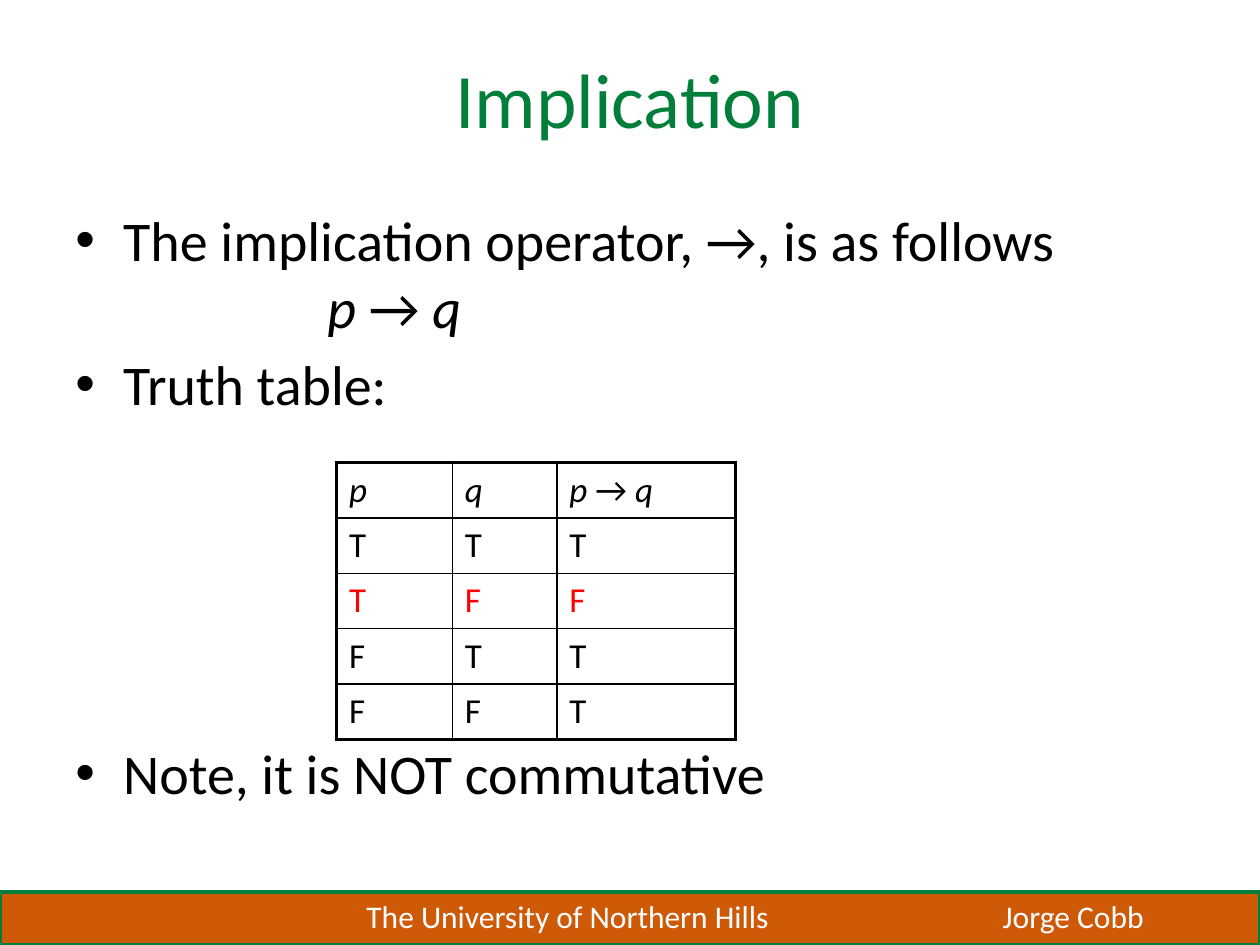
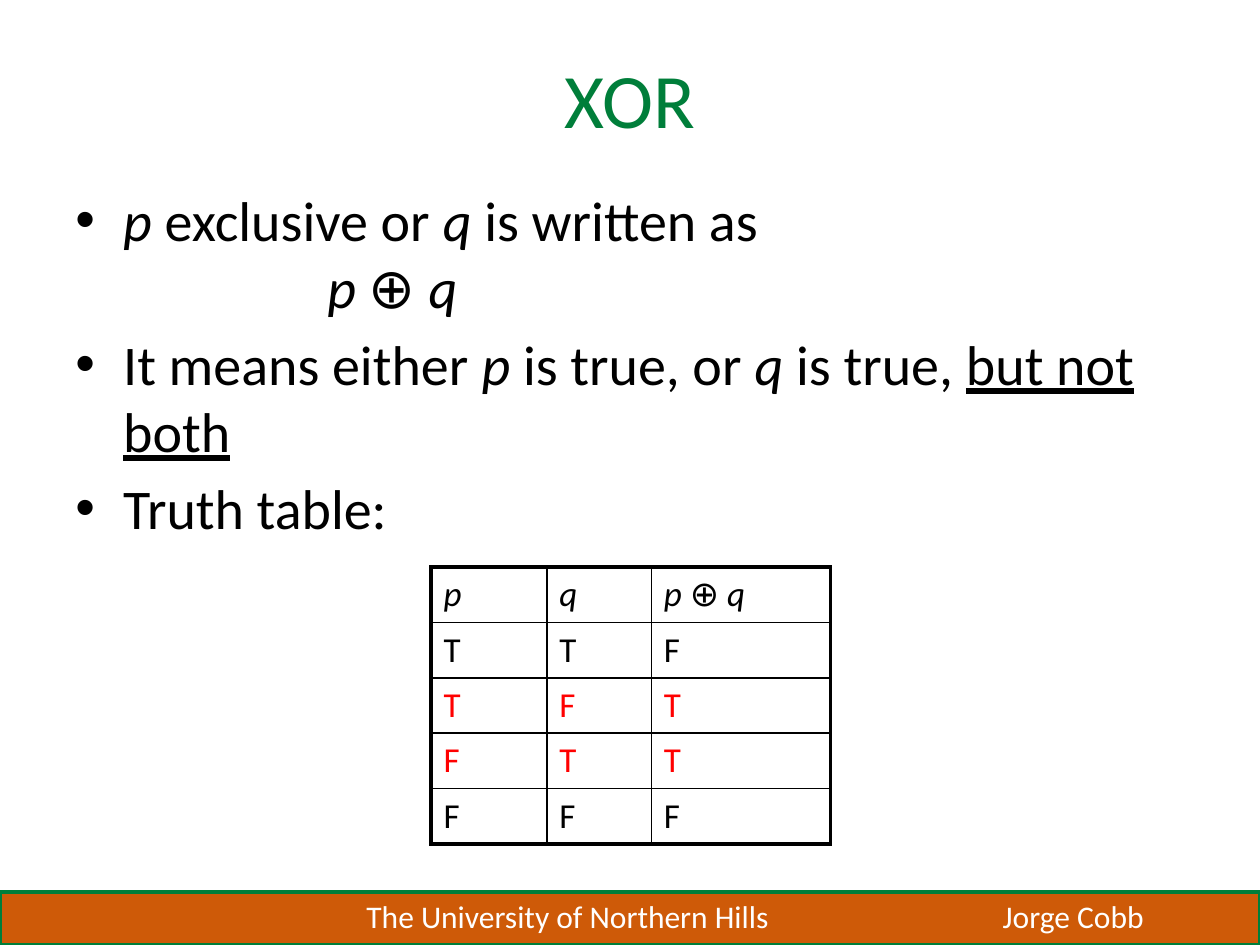
from pptx import Presentation
from pptx.dml.color import RGBColor
from pptx.enum.shapes import MSO_SHAPE as Shape
from pptx.enum.text import MSO_ANCHOR as Anchor, PP_ALIGN as Align
from pptx.oxml.ns import qn
from pptx.util import Inches, Pt
from lxml.etree import SubElement

GREEN = RGBColor(0x00, 0x7E, 0x3A)
ORANGE = RGBColor(0xCE, 0x5A, 0x08)
BLACK = RGBColor(0x00, 0x00, 0x00)
WHITE = RGBColor(0xFF, 0xFF, 0xFF)
RED = RGBColor(0xFF, 0x00, 0x00)
FONT = "Calibri"
OUTER, INNER = 2.25, 1
BULLET_GAP = 5.5
TABLE_GAP = 184
COLUMNS = (0.92, 0.83, 1.42)
ROW_HEIGHT = 0.44


class LogicDeck:
    """Builds slides on logical operators in one shared style."""

    def __init__(self):
        self.deck = Presentation()
        self.deck.slide_width, self.deck.slide_height = Inches(10), Inches(7.5)
        self.page = None

    def add_page(self, title):
        self.page = self.deck.slides.add_slide(self.deck.slide_layouts[6])
        self.footer()
        frame = self.text_box(0.5, 0.3, 9, 0.95)
        frame.vertical_anchor = Anchor.MIDDLE
        para = frame.paragraphs[0]
        para.alignment = Align.CENTER
        self.add_spans(para, title, 44, GREEN)

    def footer(self):
        band = self.page.shapes.add_shape(
            Shape.RECTANGLE, 0, Inches(7.08), Inches(10), Inches(0.42))
        band.shadow.inherit = False
        band.fill.solid()
        band.fill.fore_color.rgb = ORANGE
        band.line.color.rgb = GREEN
        band.line.width = Pt(2)
        for left, width, label in ((2.81, 3.47, "The University of Northern Hills"),
                                   (7.86, 1.34, "Jorge Cobb")):
            frame = self.text_box(left, 7.07, width, 0.4, wrap=False)
            self.add_spans(frame.paragraphs[0], label, 18, WHITE)

    def text_box(self, left, top, width, height, wrap=True):
        box = self.page.shapes.add_textbox(
            Inches(left), Inches(top), Inches(width), Inches(height))
        box.text_frame.word_wrap = wrap
        return box.text_frame

    def add_spans(self, para, text, size, color):
        """Add text in which *stars* mark italics and _bars_ mark underlining."""
        font = para.font
        font.name, font.size, font.color.rgb = FONT, Pt(size), color
        for i, part in enumerate(text.split("*")):
            for j, piece in enumerate(part.split("_")):
                if piece:
                    span = para.add_run()
                    span.text = piece
                    if i % 2:
                        span.font.italic = True
                    if j % 2:
                        span.font.underline = True

    def body(self, top, height, lines):
        """Add (kind, text) lines: bullets, formulas, or notes set below a table."""
        frame = self.text_box(0.5, top, 9, height)
        for number, (kind, text) in enumerate(lines):
            para = frame.add_paragraph() if number else frame.paragraphs[0]
            if kind != "formula":
                para.space_before = Pt(TABLE_GAP if kind == "note" else BULLET_GAP)
                self.bullet(para)
            else:
                para._p.get_or_add_pPr().set("marL", str(Inches(2)))
            self.add_spans(para, text, 32, BLACK)

    def bullet(self, para):
        props = para._p.get_or_add_pPr()
        props.set("marL", str(Inches(0.38)))
        props.set("indent", str(Inches(-0.38)))
        SubElement(props, qn("a:buFont"), typeface="Arial")
        SubElement(props, qn("a:buChar"), char="•")

    def truth_table(self, left, top, operator, results, red_rows):
        rows = [("*p*", "*q*", f"*p* {operator} *q*")]
        rows += [(*inputs, result) for inputs, result in zip(("TT", "TF", "FT", "FF"), results)]
        last_row, last_column = len(rows) - 1, len(COLUMNS) - 1
        table = self.page.shapes.add_table(
            len(rows), len(COLUMNS), Inches(left), Inches(top),
            Inches(sum(COLUMNS)), Inches(ROW_HEIGHT * len(rows))).table
        table.first_row = table.horz_banding = False
        for column, width in zip(table.columns, COLUMNS):
            column.width = Inches(width)
        for r, values in enumerate(rows):
            table.rows[r].height = Inches(ROW_HEIGHT)
            for c, value in enumerate(values):
                cell = table.cell(r, c)
                self.borders(cell, lnL=c == 0, lnR=c == last_column,
                             lnT=r == 0, lnB=r == last_row)
                cell.fill.background()
                self.add_spans(cell.text_frame.paragraphs[0], value, 20,
                               RED if r in red_rows else BLACK)

    def borders(self, cell, **outer_sides):
        props = cell._tc.get_or_add_tcPr()
        for side, is_outer in outer_sides.items():
            line = SubElement(props, qn(f"a:{side}"), w=str(Pt(OUTER if is_outer else INNER)))
            fill = SubElement(line, qn("a:solidFill"))
            SubElement(fill, qn("a:srgbClr"), val=str(BLACK))


def main():
    logic = LogicDeck()

    logic.add_page("Implication")
    logic.body(1.58, 5.12, [
        ("bullet", "The implication operator, →, is as follows"),
        ("formula", "*p* → *q*"),
        ("bullet", "Truth table:"),
        ("note", "Note, it is NOT commutative"),
    ])
    logic.truth_table(2.67, 3.67, "→", "TFTT", red_rows=(2,))

    logic.add_page("XOR")
    logic.body(1.42, 4.95, [
        ("bullet", "*p* exclusive or *q* is written as"),
        ("formula", "*p* ⊕ *q*"),
        ("bullet", "It means either *p* is true, or *q* is true, _but not both_"),
        ("bullet", "Truth table:"),
    ])
    logic.truth_table(3.42, 4.5, "⊕", "FTTF", red_rows=(2, 3))

    logic.deck.save("out.pptx")


if __name__ == "__main__":
    main()
